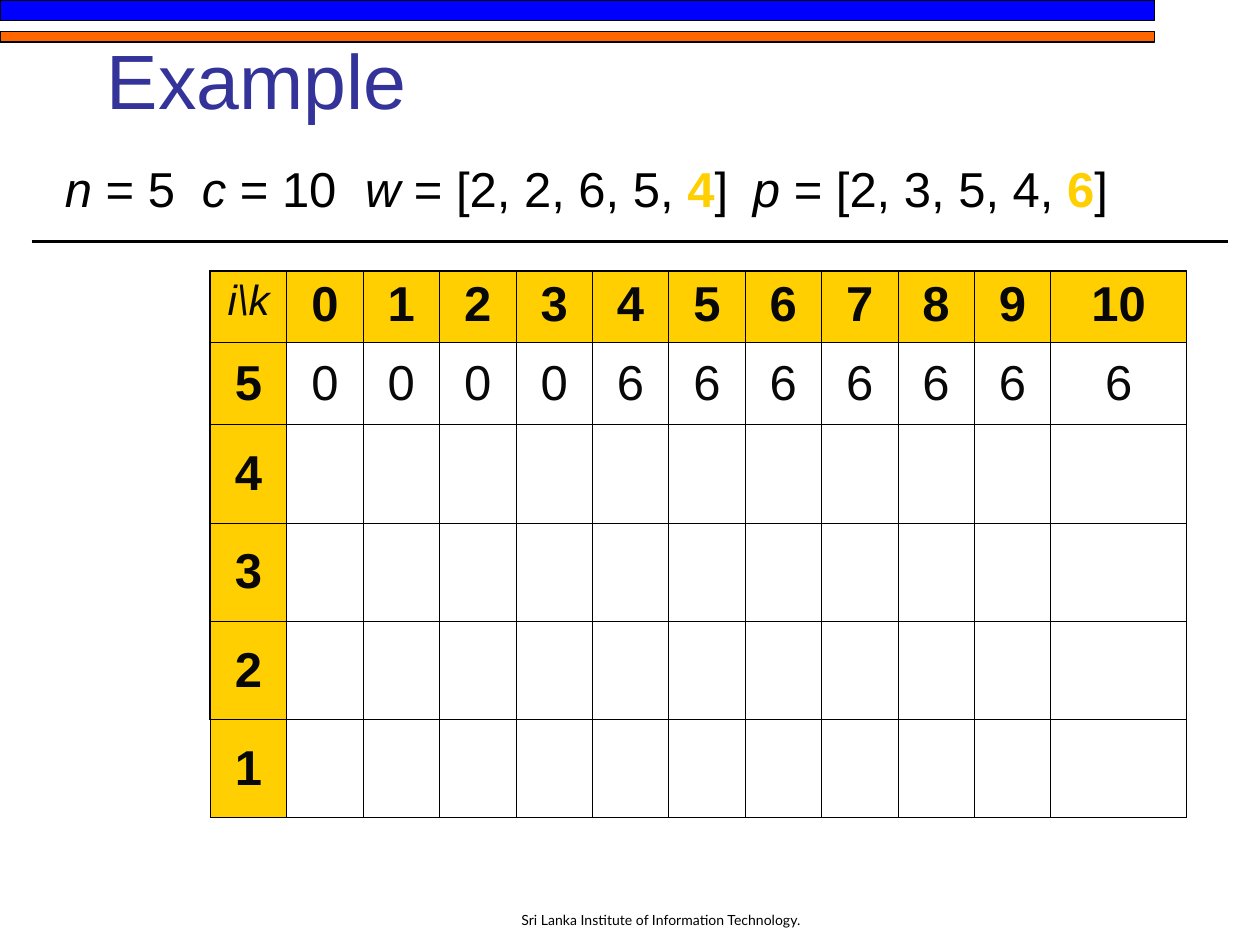
from lxml import etree
from pptx import Presentation
from pptx.dml.color import RGBColor
from pptx.enum.shapes import MSO_CONNECTOR, MSO_SHAPE
from pptx.enum.text import MSO_ANCHOR, MSO_AUTO_SIZE, PP_ALIGN
from pptx.oxml.ns import qn
from pptx.util import Cm, Pt

BLACK = RGBColor(0x00, 0x00, 0x00)
INK = RGBColor(0x08, 0x08, 0x08)
BLUE = RGBColor(0x00, 0x00, 0xFF)
ORANGE = RGBColor(0xFF, 0x66, 0x00)
INDIGO = RGBColor(0x33, 0x33, 0x99)
YELLOW = RGBColor(0xFF, 0xCF, 0x01)

RECTANGLE = MSO_SHAPE.RECTANGLE
STRAIGHT = MSO_CONNECTOR.STRAIGHT
LEFT, CENTER = PP_ALIGN.LEFT, PP_ALIGN.CENTER
TOP, MIDDLE, BOTTOM = MSO_ANCHOR.TOP, MSO_ANCHOR.MIDDLE, MSO_ANCHOR.BOTTOM
NO_AUTOFIT = MSO_AUTO_SIZE.NONE

TITLE_ONLY_LAYOUT = 5
OUTER_BORDER, INNER_BORDER = Pt(1.08), Pt(0.45)


def add_run(paragraph, text, size=28, color=BLACK, font="Arial", bold=False, italic=False):
    run = paragraph.add_run()
    run.text = text
    run.font.name = font
    run.font.size = Pt(size)
    run.font.bold = bold
    run.font.italic = italic
    run.font.color.rgb = color


def add_tab_stops(paragraph, positions):
    tab_list = etree.SubElement(paragraph._p.get_or_add_pPr(), qn("a:tabLst"))
    for position in positions:
        etree.SubElement(tab_list, qn("a:tab"), pos=str(Cm(position)), algn="l")


def set_borders(cell, widths):
    """Draw black borders; widths maps L, R, T and B to a line width."""
    properties = cell._tc.get_or_add_tcPr()
    for side, width in widths.items():
        line = etree.SubElement(properties, qn(f"a:ln{side}"), w=str(width))
        fill = etree.SubElement(line, qn("a:solidFill"))
        etree.SubElement(fill, qn("a:srgbClr"), val=str(BLACK))


class SlideBuilder:
    def __init__(self, slide, line_color=BLACK):
        self.slide = slide
        self.line_color = line_color

    def bar(self, top, height, color):
        shape = self.slide.shapes.add_shape(RECTANGLE, 0, Cm(top), Cm(23.28), Cm(height))
        shape.shadow.inherit = False
        shape.fill.solid()
        shape.fill.fore_color.rgb = color
        shape.line.color.rgb = self.line_color
        shape.line.width = Pt(0.75)

    def rule(self, left, right, y):
        line = self.slide.shapes.add_connector(STRAIGHT, Cm(left), Cm(y), Cm(right), Cm(y))
        line.line.color.rgb = self.line_color
        line.line.width = Pt(1.5)
        etree.SubElement(line._element.spPr, qn("a:effectLst"))

    def title(self, text, left, top, width, height):
        title = self.slide.shapes.title
        title.left, title.top = Cm(left), Cm(top)
        title.width, title.height = Cm(width), Cm(height)
        frame = title.text_frame
        frame.auto_size = NO_AUTOFIT
        frame.vertical_anchor = BOTTOM
        frame.paragraphs[0].alignment = LEFT
        add_run(frame.paragraphs[0], text, size=44, color=INDIGO)

    def text_box(self, left, top, width, height, anchor=TOP, alignment=LEFT):
        """Add an empty text box and return its first paragraph."""
        box = self.slide.shapes.add_textbox(Cm(left), Cm(top), Cm(width), Cm(height))
        frame = box.text_frame
        frame.word_wrap = True
        frame.vertical_anchor = anchor
        frame.paragraphs[0].alignment = alignment
        return frame.paragraphs[0]

    def table(self, rows, left, top, column_widths, row_heights):
        """Add a table whose first row and first column are headings."""
        last_row, last_column = len(row_heights) - 1, len(column_widths) - 1
        table = self.slide.shapes.add_table(
            len(row_heights), len(column_widths), Cm(left), Cm(top),
            Cm(sum(column_widths)), Cm(sum(row_heights))).table
        table.first_row = table.horz_banding = False
        for column, width in zip(table.columns, column_widths):
            column.width = Cm(width)
        for row, height in zip(table.rows, row_heights):
            row.height = Cm(height)

        for i, values in enumerate(rows):
            for j, value in enumerate(values):
                cell = table.cell(i, j)
                outer_sides = {"L": j == 0 and i < last_row, "R": j == last_column,
                               "T": i == 0, "B": i == last_row}
                set_borders(cell, {side: OUTER_BORDER if outer else INNER_BORDER
                                   for side, outer in outer_sides.items()})
                heading, corner = i == 0 or j == 0, i == j == 0
                if heading:
                    cell.fill.solid()
                    cell.fill.fore_color.rgb = YELLOW
                else:
                    cell.fill.background()
                cell.vertical_anchor = TOP if i == 0 else MIDDLE
                paragraph = cell.text_frame.paragraphs[0]
                paragraph.alignment = CENTER
                if value:
                    add_run(paragraph, value, size=24 if corner else 28, color=INK,
                            bold=heading and not corner, italic=corner)


def main():
    presentation = Presentation()
    presentation.slide_width, presentation.slide_height = Cm(25.4), Cm(19.05)
    layout = presentation.slide_layouts[TITLE_ONLY_LAYOUT]
    builder = SlideBuilder(presentation.slides.add_slide(layout))

    builder.bar(0, 0.42, BLUE)
    builder.bar(0.64, 0.21, ORANGE)
    builder.rule(0.64, 24.76, 4.87)
    footer = builder.text_box(9.31, 17.57, 8.04, 1.27, anchor=BOTTOM, alignment=CENTER)
    add_run(footer, "Sri Lanka Institute of Information Technology.", size=8, font="Lato")
    builder.title("Example", 1.9, 0.53, 21.59, 2.12)

    problem = builder.text_box(1.06, 3.07, 24.34, 2.22)
    add_tab_stops(problem, [2.76, 6.05, 13.87])
    parameters = [("n", " = 5\t", "", ""), ("c", " = 10\t", "", ""),
                  ("w", " = [2, 2, 6, 5, ", "4", "]\t"), ("p", " = [2, 3, 5, 4, ", "6", "]")]
    for symbol, values, current, ending in parameters:
        add_run(problem, symbol, italic=True)
        add_run(problem, values)
        if current:
            add_run(problem, current, color=YELLOW, bold=True)
            add_run(problem, ending)

    capacities = range(11)
    weight, profit = 4, 6
    rows = [["i\\k"] + [str(k) for k in capacities],
            ["5"] + [str(profit if k >= weight else 0) for k in capacities]]
    rows += [[str(item)] + [""] * len(capacities) for item in range(4, 0, -1)]
    builder.table(rows, 4.24, 5.46, [1.54] * 11 + [2.74], [1.45, 1.65] + [1.98] * 4)

    presentation.save("out.pptx")


if __name__ == "__main__":
    main()
